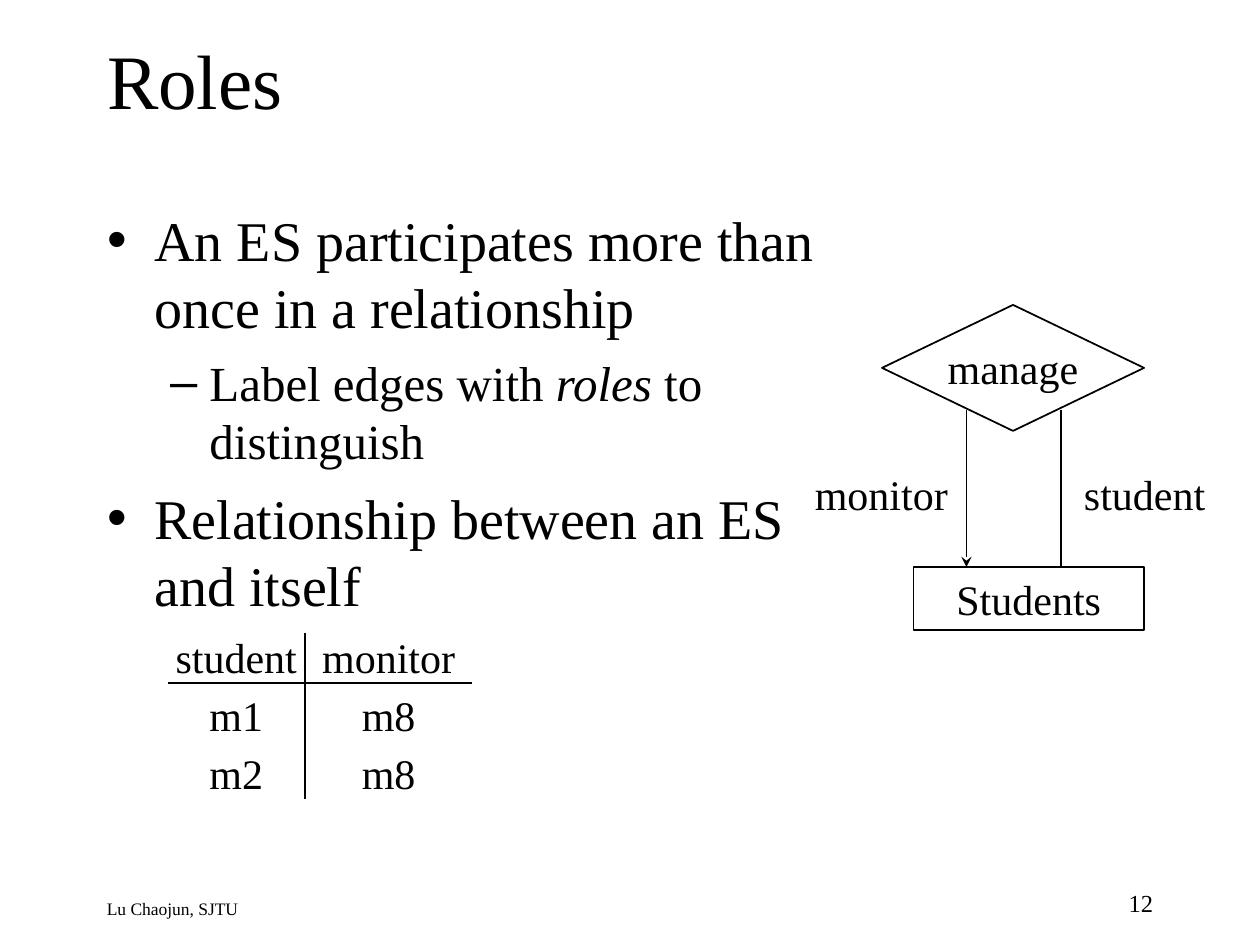
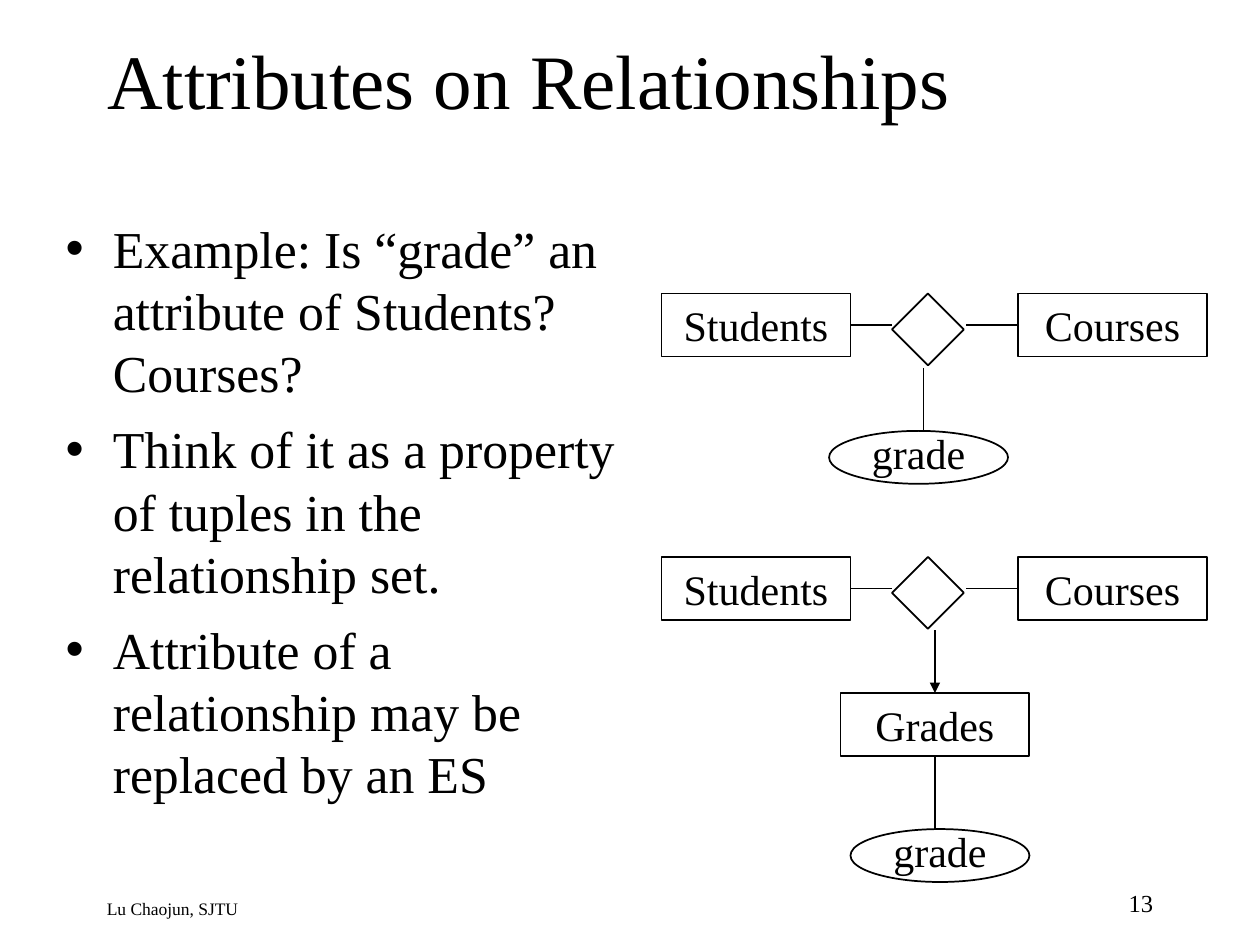
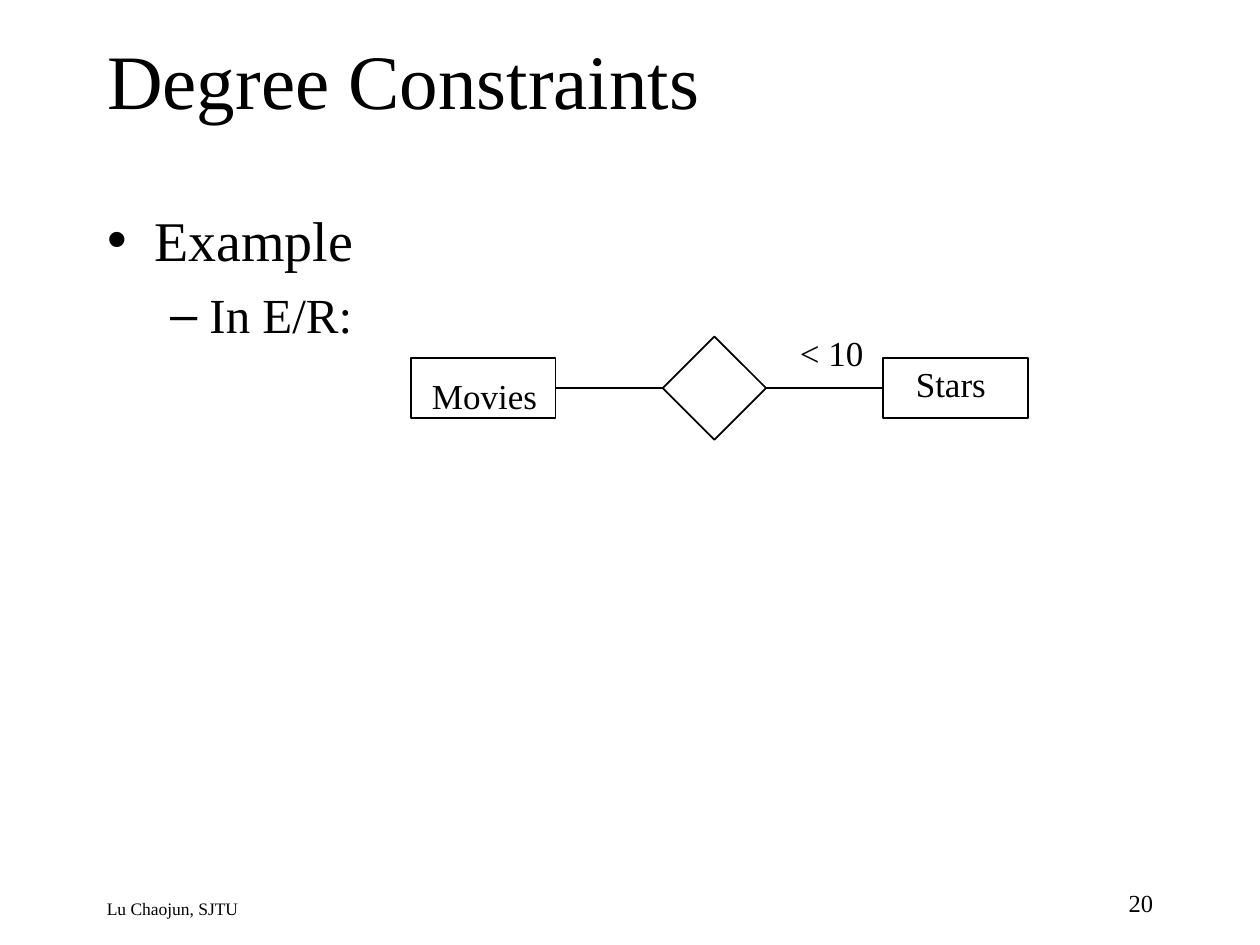
from dataclasses import dataclass
from typing import Any, NamedTuple, Optional, Sequence, Union

import pptx
import pptx.dml.color
import pptx.enum.shapes
import pptx.enum.text
import pptx.oxml.ns
import pptx.util
from lxml import etree
from pptx.util import Inches

FONT = "Times New Roman"
BLACK = "000000"
WHITE = "FFFFFF"
AUTHOR = "Lu Chaojun, SJTU"

ALIGN = pptx.enum.text.PP_ALIGN
ANCHOR = pptx.enum.text.MSO_ANCHOR
SHAPE = pptx.enum.shapes.MSO_SHAPE
RULE_WIDTH = pptx.util.Pt(1)
INSETS = {
    "margin_left": Inches(0.1),
    "margin_right": Inches(0.1),
    "margin_top": Inches(0.05),
    "margin_bottom": Inches(0.05),
    "word_wrap": True,
    "auto_size": pptx.enum.text.MSO_AUTO_SIZE.NONE,
}
CELL_FORMAT = {
    "margin_left": 0,
    "margin_right": 0,
    "margin_top": 0,
    "margin_bottom": 0,
    "vertical_anchor": ANCHOR.BOTTOM,
}
PLAIN_TABLE = {"first_row": False, "horz_banding": False}


class Box(NamedTuple):
    left: float
    top: float
    width: float
    height: float


class Point(NamedTuple):
    x: float
    y: float


class Joint(NamedTuple):
    """A connection site on a shape: 0 top, 1 left, 2 bottom, 3 right."""
    shape: Any
    site: int


End = Union[Point, Joint]


@dataclass(frozen=True)
class Label:
    text: str
    box: Box
    size: float = 24
    align: Any = ALIGN.CENTER


@dataclass(frozen=True)
class Bullet:
    """One list entry; words between asterisks are italic."""
    text: str
    size: float = 32
    level: int = 0
    before: float = 8


def rgb(value: str) -> pptx.dml.color.RGBColor:
    return pptx.dml.color.RGBColor.from_string(value)


def apply(target: Any, values: dict) -> None:
    for name, value in values.items():
        setattr(target, name, value)


def place(shape: Any, box: Box) -> None:
    apply(shape, {side: Inches(value) for side, value in box._asdict().items()})


def add_run(paragraph: Any, text: str, size: float, italic: bool = False) -> None:
    run = paragraph.add_run()
    run.text = text
    apply(run.font, {"name": FONT, "size": pptx.util.Pt(size), "italic": italic})
    run.font.color.rgb = rgb(BLACK)


def write(frame: Any, text: str, size: float, align: Any = ALIGN.LEFT) -> None:
    apply(frame, INSETS)
    paragraph = frame.paragraphs[0]
    paragraph.alignment = align
    add_run(paragraph, text, size)


def add_label(slide: Any, label: Label) -> None:
    textbox = slide.shapes.add_textbox(*map(Inches, label.box))
    write(textbox.text_frame, label.text, label.size, label.align)


def add_node(slide: Any, kind: Any, box: Box, text: str = "", fill: str = "") -> Any:
    node = slide.shapes.add_shape(kind, *map(Inches, box))
    node.shadow.inherit = False
    if fill:
        node.fill.solid()
        node.fill.fore_color.rgb = rgb(fill)
    else:
        node.fill.background()
    node.line.color.rgb = rgb(BLACK)
    node.line.width = RULE_WIDTH
    if text:
        write(node.text_frame, text, 24, ALIGN.CENTER)
        node.text_frame.vertical_anchor = ANCHOR.TOP
    return node


def add_edge(slide: Any, start: End, end: End, arrow: Optional[str] = None) -> None:
    (x1, y1), (x2, y2) = (
        (0, 0) if isinstance(tip, Joint) else map(Inches, tip) for tip in (start, end)
    )
    edge = slide.shapes.add_connector(
        pptx.enum.shapes.MSO_CONNECTOR.STRAIGHT, x1, y1, x2, y2
    )
    for tip, connect in ((start, edge.begin_connect), (end, edge.end_connect)):
        if isinstance(tip, Joint):
            connect(tip.shape, tip.site)
    edge.line.color.rgb = rgb(BLACK)
    edge.line.width = RULE_WIDTH
    properties = edge._element.spPr
    if arrow:
        outline = properties.find(pptx.oxml.ns.qn("a:ln"))
        etree.SubElement(outline, pptx.oxml.ns.qn("a:tailEnd"), type=arrow)
    etree.SubElement(properties, pptx.oxml.ns.qn("a:effectLst"))


def set_borders(cell: Any, ruled: dict[str, bool]) -> None:
    """Draw the sides marked True and hide the others."""
    properties = cell._tc.get_or_add_tcPr()
    for position, side in enumerate(("lnL", "lnR", "lnT", "lnB")):
        border = etree.Element(pptx.oxml.ns.qn("a:" + side), w=str(RULE_WIDTH))
        if ruled.get(side):
            paint = etree.SubElement(border, pptx.oxml.ns.qn("a:solidFill"))
            etree.SubElement(paint, pptx.oxml.ns.qn("a:srgbClr"), val=BLACK)
        else:
            etree.SubElement(border, pptx.oxml.ns.qn("a:noFill"))
        properties.insert(position, border)


def add_relation(slide: Any, left: float, top: float, widths: Sequence[float],
                 heights: Sequence[float], rows: Sequence[Sequence[str]]) -> None:
    """Add a two-column table ruled only below its header and between columns."""
    box = Box(left, top, sum(widths), sum(heights))
    table = slide.shapes.add_table(len(rows), len(widths), *map(Inches, box)).table
    apply(table, PLAIN_TABLE)
    for column, width in zip(table.columns, widths):
        column.width = Inches(width)
    for row_index, (row, height) in enumerate(zip(rows, heights)):
        table.rows[row_index].height = Inches(height)
        for column_index, text in enumerate(row):
            cell = table.cell(row_index, column_index)
            apply(cell, CELL_FORMAT)
            cell.fill.background()
            set_borders(cell, {
                "lnL": column_index == 1,
                "lnR": column_index == 0,
                "lnT": row_index == 1,
                "lnB": row_index == 0,
            })
            paragraph = cell.text_frame.paragraphs[0]
            paragraph.alignment = ALIGN.CENTER
            add_run(paragraph, text, 24)


def fill_body(body: Any, box: Box, bullets: Sequence[Bullet]) -> None:
    place(body, box)
    frame = body.text_frame
    apply(frame, INSETS)
    for index, bullet in enumerate(bullets):
        paragraph = frame.add_paragraph() if index else frame.paragraphs[0]
        apply(paragraph, {
            "level": bullet.level,
            "space_before": pptx.util.Pt(bullet.before),
        })
        for part, text in enumerate(bullet.text.split("*")):
            add_run(paragraph, text, bullet.size, italic=part % 2 == 1)


def add_slide(deck: Any, title: str, number: int, body_box: Box,
              bullets: Sequence[Bullet]) -> Any:
    slide = deck.slides.add_slide(deck.slide_layouts[1])
    place(slide.shapes.title, Box(0.75, 0, 8.5, 1.25))
    write(slide.shapes.title.text_frame, title, 44)
    fill_body(slide.placeholders[1], body_box, bullets)
    add_label(slide, Label(AUTHOR, Box(0.75, 7.08, 5.8, 0.25), 10, ALIGN.LEFT))
    add_label(slide, Label(str(number), Box(7.17, 7, 2.08, 0.33), 14, ALIGN.RIGHT))
    return slide


def build_roles(deck: Any) -> None:
    slide = add_slide(deck, "Roles", 12, Box(0.75, 1.58, 5.92, 5.08), [
        Bullet("An ES participates more than once in a relationship"),
        Bullet("Label edges with *roles* to distinguish", 28, 1, 7),
        Bullet("Relationship between an ES and itself"),
    ])
    add_relation(slide, 1.33, 5.02, (1.09, 1.33), (0.4, 0.46, 0.46), (
        ("student", "monitor"),
        ("m1", "m8"),
        ("m2", "m8"),
    ))

    add_node(slide, SHAPE.DIAMOND, Box(7, 2.42, 2.08, 1))
    add_node(slide, SHAPE.RECTANGLE, Box(7.25, 4.5, 1.83, 0.5), "Students")
    add_edge(slide, Point(8.42, 3.25), Point(8.42, 4.5))
    add_edge(slide, Point(7.67, 3.25), Point(7.67, 4.5), "stealth")
    for label in (
        Label("manage", Box(7.25, 2.67, 1.58, 0.5)),
        Label("student", Box(8.17, 3.67, 1.83, 0.5)),
        Label("monitor", Box(6.33, 3.67, 1.33, 0.5)),
    ):
        add_label(slide, label)


def add_enrolment(slide: Any, top: float) -> None:
    """Draw Students and Courses joined through a relationship diamond."""
    students = add_node(slide, SHAPE.RECTANGLE, Box(5.25, top, 1.5, 0.5), "Students")
    courses = add_node(slide, SHAPE.RECTANGLE, Box(8.08, top, 1.5, 0.5), "Courses")
    add_node(slide, SHAPE.DIAMOND, Box(7.08, top, 0.57, 0.57), fill=WHITE)
    middle = top + 0.25
    add_edge(slide, Joint(students, 3), Point(7.08, middle))
    add_edge(slide, Point(7.67, middle), Joint(courses, 1))


def add_grade(slide: Any, left: float, top: float) -> None:
    add_node(slide, SHAPE.OVAL, Box(left, top, 1.42, 0.42))
    add_label(slide, Label("grade", Box(left + 0.17, top - 0.08, 1.08, 0.5)))


def build_attributes(deck: Any) -> None:
    slide = add_slide(
        deck, "Attributes on Relationships", 13, Box(0.42, 1.67, 4.83, 4.92), [
            Bullet("Example: Is “grade” an attribute of Students? Courses?", 29.6),
            Bullet("Think of it as a property of tuples in the relationship set.", 29.6),
            Bullet("Attribute of a relationship may be replaced by an ES", 29.6),
        ])
    add_enrolment(slide, 2.33)
    add_grade(slide, 6.58, 3.42)
    add_edge(slide, Point(7.33, 2.92), Point(7.33, 3.42))

    add_enrolment(slide, 4.42)
    grades = add_node(slide, SHAPE.RECTANGLE, Box(6.67, 5.5, 1.5, 0.5), "Grades")
    add_grade(slide, 6.75, 6.58)
    add_edge(slide, Point(7.42, 5), Joint(grades, 0), "triangle")
    add_edge(slide, Joint(grades, 2), Point(7.42, 6.58))


def build_degrees(deck: Any) -> None:
    slide = add_slide(deck, "Degree Constraints", 20, Box(0.75, 1.58, 8.5, 5.08), [
        Bullet("Example"),
        Bullet("In E/R:", 28, 1, 7),
    ])
    movies, stars = (
        add_node(slide, SHAPE.RECTANGLE, Box(left, 2.84, 1.15, 0.48), fill=WHITE)
        for left in (3.26, 7.01)
    )
    relation = add_node(slide, SHAPE.DIAMOND, Box(5.26, 2.67, 0.82, 0.82), fill=WHITE)
    add_edge(slide, Joint(movies, 3), Joint(relation, 1))
    add_edge(slide, Joint(relation, 3), Joint(stars, 1))
    for label in (
        Label("Movies", Box(3.33, 2.92, 1.33, 0.43), 20, ALIGN.LEFT),
        Label("Stars", Box(7.17, 2.83, 1.17, 0.43), 20, ALIGN.LEFT),
        Label("< 10", Box(6.25, 2.58, 0.83, 0.43), 20, ALIGN.LEFT),
    ):
        add_label(slide, label)


def main() -> None:
    deck = pptx.Presentation()
    deck.slide_width, deck.slide_height = Inches(10), Inches(7.5)
    for build in (build_roles, build_attributes, build_degrees):
        build(deck)
    deck.save("out.pptx")


if __name__ == "__main__":
    main()
